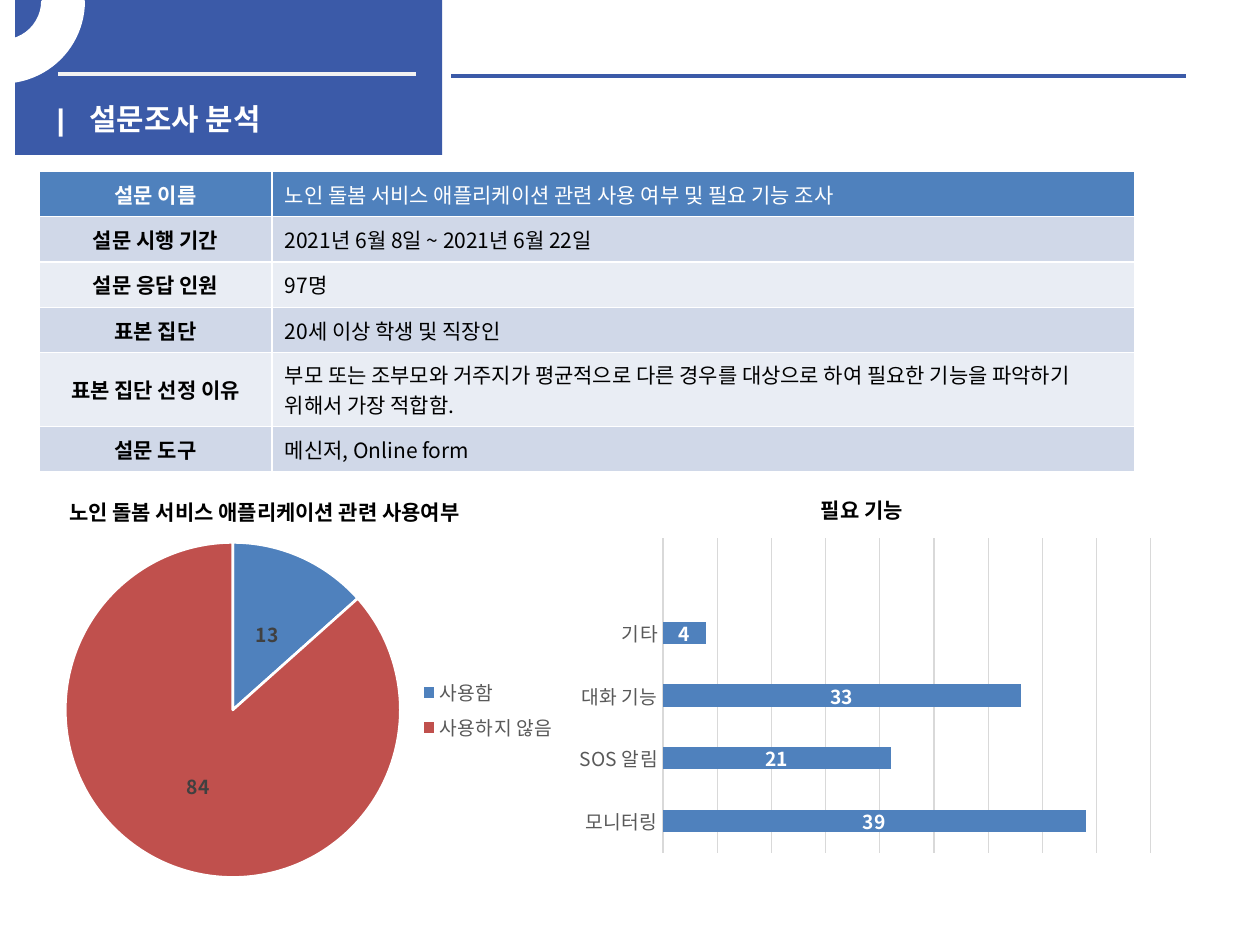
from lxml import etree
from pptx import Presentation
from pptx import util as u
from pptx.chart import data as cd
from pptx.dml.color import RGBColor
from pptx.enum import chart as ec, shapes, text
from pptx.oxml import ns

FONT = "Noto Sans CJK KR"
HUES = {
    "navy": "3B5AA8", "white": "FFFFFF", "pale": "F2F2F2", "black": "000000",
    "blue": "4F81BD", "red": "C0504D", "band": "D0D8E8", "light": "E9EDF4",
    "gray": "595959", "dark": "404040", "grid": "D9D9D9",
}
ROWS = [
    ("설문 이름", "노인 돌봄 서비스 애플리케이션 관련 사용 여부 및 필요 기능 조사"),
    ("설문 시행 기간", "2021년 6월 8일 ~ 2021년 6월 22일"),
    ("설문 응답 인원", "97명"),
    ("표본 집단", "20세 이상 학생 및 직장인"),
    ("표본 집단 선정 이유", "부모 또는 조부모와 거주지가 평균적으로 다른 경우를 대상으로 하여 "
     "필요한 기능을 파악하기 위해서 가장 적합함."),
    ("설문 도구", "메신저, Online form"),
]


def hue(name):
    """Return the named colour."""
    return RGBColor.from_string(HUES[name])


def inch(*vals):
    """Turn numbers into lengths."""
    return [u.Inches(v) for v in vals]


def paint(obj, name):
    """Fill a shape, cell or chart format with one colour."""
    obj.fill.solid()
    obj.fill.fore_color.rgb = hue(name)


def style(font, size, name, bold=False, face=FONT):
    """Set face, size, colour and weight of a font."""
    font.name, font.size, font.bold = face, u.Pt(size), bold
    font.color.rgb = hue(name)


def rule(slide, left, right, top, name):
    """Draw a level line."""
    line = slide.shapes.add_connector(
        shapes.MSO_CONNECTOR.STRAIGHT, *inch(left, top, right, top))
    line.line.color.rgb = hue(name)
    line.line.width = u.Pt(2.25)
    etree.SubElement(line._element.spPr, ns.qn("a:effectLst"))


def banner(slide, left, top, wide, high):
    """Place the title block with its rules and corner ring."""
    block = slide.shapes.add_shape(
        shapes.MSO_SHAPE.RECTANGLE, *inch(left, top, wide, high))
    paint(block, "navy")
    block.line.fill.background()
    block.shadow.inherit = False
    rule(slide, left + 0.34, left + 3.18, top + 0.59, "pale")
    rule(slide, left + 3.46, left + 9.29, top + 0.6, "navy")

    title = slide.shapes.title
    title.left, title.top, title.width, title.height = inch(
        left + 0.23, top + 0.78, 3.07, 0.32)
    frame = title.text_frame
    frame.vertical_anchor = text.MSO_ANCHOR.MIDDLE
    para = frame.paragraphs[0]
    para.alignment = text.PP_ALIGN.LEFT
    tabs = etree.SubElement(para._p.get_or_add_pPr(), ns.qn("a:tabLst"))
    etree.SubElement(tabs, ns.qn("a:tab"), pos=str(u.Inches(0.26)), algn="l")
    run = para.add_run()
    run.text = "|\t설문조사 분석"
    style(run.font, 17, "white", True, "Arial")
    slide.shapes._spTree.append(title._element)

    ring = slide.shapes.add_shape(
        shapes.MSO_SHAPE.BLOCK_ARC, *inch(left - 0.75, top - 0.63, 1.29, 1.28))
    ring.adjustments[0] = 161.59 * 0.6
    ring.adjustments[1] = 0
    ring.adjustments[2] = 0.25
    ring._element.spPr.xfrm.set("flipV", "1")
    paint(ring, "white")
    ring.line.color.rgb = hue("white")
    ring.line.width = u.Pt(2)
    ring.shadow.inherit = False


def facts(slide, left, top, wide, high):
    """Place the table of survey facts."""
    table = slide.shapes.add_table(
        len(ROWS), 2, *inch(left, top, wide, high)).table
    for col, size in zip(table.columns, inch(1.85, wide - 1.85)):
        col.width = size
    for row, pair in enumerate(ROWS):
        table.rows[row].height = u.Inches(0.43 if row == 4 else 0.36)
        fill = "blue" if row == 0 else "band" if row % 2 else "light"
        for col, words in enumerate(pair):
            cell = table.cell(row, col)
            paint(cell, fill)
            cell.vertical_anchor = text.MSO_ANCHOR.MIDDLE
            para = cell.text_frame.paragraphs[0]
            para.alignment = (text.PP_ALIGN.LEFT if col
                              else text.PP_ALIGN.CENTER)
            run = para.add_run()
            run.text = words
            style(run.font, 12, "black" if row else "white", col == 0)


def pin(node, inner=False, **spots):
    """Give a chart part a manual layout, in shares of the chart."""
    old = node.find(ns.qn("c:layout"))
    if old is not None:
        node.remove(old)
    layout = etree.Element(ns.qn("c:layout"))
    manual = etree.SubElement(layout, ns.qn("c:manualLayout"))
    if inner:
        etree.SubElement(manual, ns.qn("c:layoutTarget"), val="inner")
    for key in "xy":
        etree.SubElement(manual, ns.qn(f"c:{key}Mode"), val="edge")
    for key, val in spots.items():
        etree.SubElement(manual, ns.qn(f"c:{key}"), val=str(val))
    after = node.find(ns.qn("c:overlay"))
    if after is None:
        node.insert(0, layout)
    else:
        after.addprevious(layout)


def graph(slide, kind, box, name, cats, vals, ink, plot):
    """Add a titled chart of one series with centred value labels."""
    data = cd.CategoryChartData()
    data.categories = cats
    data.add_series(name, vals)
    chart = slide.shapes.add_chart(kind, *inch(*box), data).chart
    style(chart.font, 10, "black")
    chart.has_title = True
    run = chart.chart_title.text_frame.paragraphs[0].add_run()
    run.text = name
    style(run.font, 12, "black", True)
    chart.has_legend = False
    labels = chart.plots[0].series[0].data_labels
    labels.show_value = True
    labels.position = ec.XL_LABEL_POSITION.CENTER
    style(labels.font, 11, ink, True)
    pin(chart._chartSpace.chart.plotArea, True, **plot)
    return chart


def usage(slide, *box):
    """Place the pie of users and non-users."""
    chart = graph(slide, ec.XL_CHART_TYPE.PIE, box,
                  "노인 돌봄 서비스 애플리케이션 관련 사용여부",
                  ["사용함", "사용하지 않음"], [13, 84], "dark",
                  dict(x=0.05, y=0.18, w=0.61, h=0.78))
    pin(chart.chart_title._element, x=0.05, y=0.06)
    chart.plots[0].vary_by_categories = True
    for spot, name in enumerate(("blue", "red")):
        form = chart.plots[0].series[0].points[spot].format
        paint(form, name)
        form.line.color.rgb = hue("white")
        form.line.width = u.Pt(1.5)
    chart.has_legend = True
    chart.legend.position = ec.XL_LEGEND_POSITION.RIGHT
    chart.legend.include_in_layout = False
    style(chart.legend.font, 11, "gray")
    pin(chart.legend._element, x=0.66, y=0.48, w=0.32, h=0.18)


def needs(slide, *box):
    """Place the bars of wanted features."""
    chart = graph(slide, ec.XL_CHART_TYPE.BAR_CLUSTERED, box, "필요 기능",
                  ["모니터링", "SOS 알림", "대화 기능", "기타", ""],
                  [39, 21, 33, 4, None], "white",
                  dict(x=0.17, y=0.17, w=0.81, h=0.81))
    plot = chart.plots[0]
    plot.vary_by_categories = False
    plot.gap_width = 182
    paint(plot.series[0].format, "blue")
    cat, val = chart.category_axis, chart.value_axis
    cat.major_tick_mark = ec.XL_TICK_MARK.NONE
    style(cat.tick_labels.font, 11, "gray")
    val.visible = False
    val.minimum_scale, val.maximum_scale, val.major_unit = 0, 45, 5
    val.has_major_gridlines = True
    for line in (cat.format.line, val.major_gridlines.format.line):
        line.color.rgb = hue("grid")
        line.width = u.Pt(0.75)


def main():
    """Build and save the slide."""
    deck = Presentation()
    deck.slide_width, deck.slide_height = inch(10, 7.5)
    slide = deck.slides.add_slide(deck.slide_layouts[5])
    banner(slide, 0.12, 0, 3.39, 1.23)
    facts(slide, 0.31, 1.36, 8.7, 2.32)
    usage(slide, 0.3, 3.68, 4.36, 3.43)
    needs(slide, 4.45, 3.75, 4.78, 3.08)
    deck.save("out.pptx")


if __name__ == "__main__":
    main()
